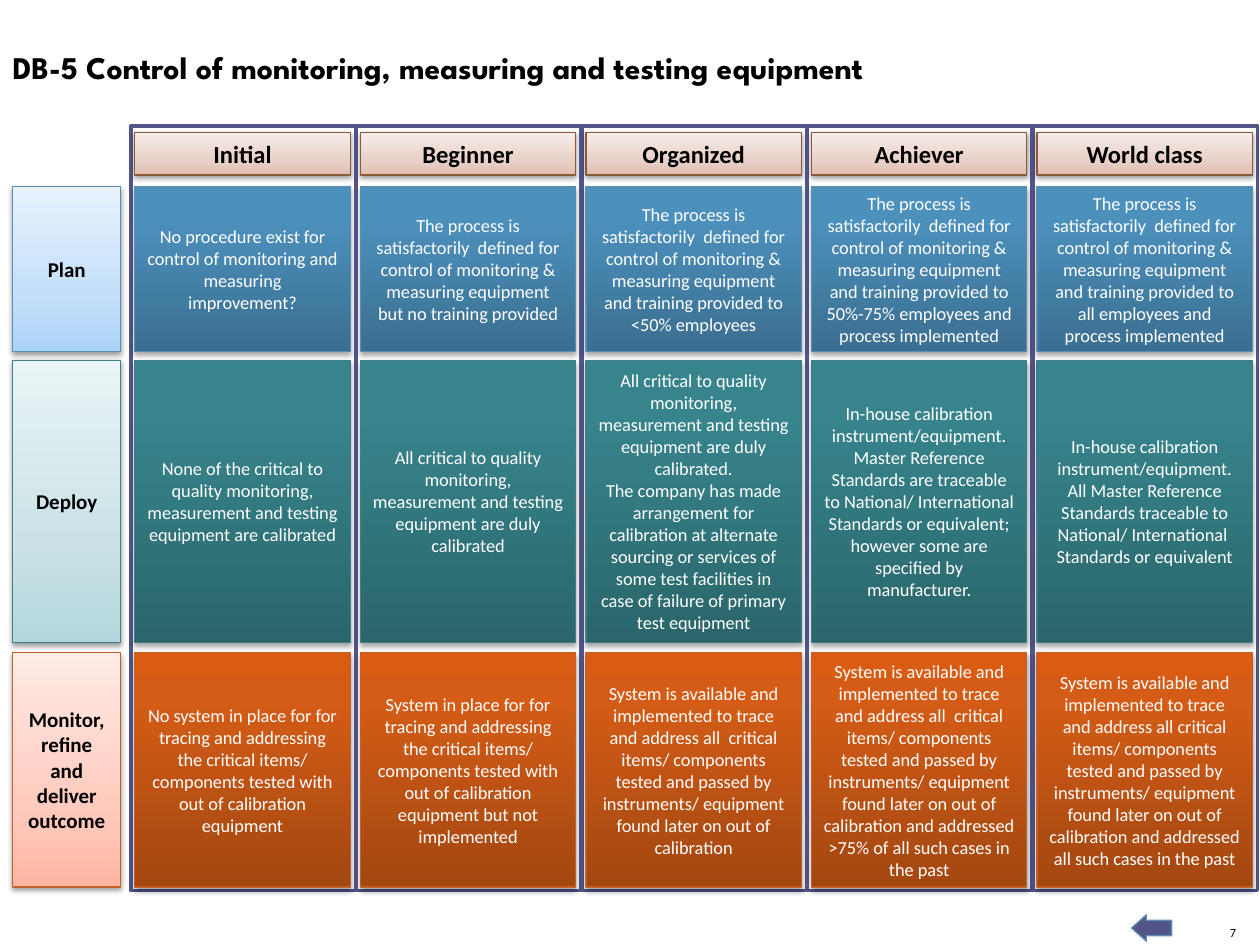
from lxml.etree import SubElement
from pptx import Presentation
from pptx.dml.color import RGBColor
from pptx.enum.shapes import MSO_SHAPE
from pptx.enum.text import MSO_ANCHOR, MSO_AUTO_SIZE, PP_ALIGN
from pptx.oxml.ns import qn
from pptx.util import Inches, Pt

COLORS = {
    "black": "000000", "white": "FFFFFF", "frame": "53548A", "arrow": "5C92B5",
    "head": "8A5B3A", "plan": "588FB3", "deploy": "407F85", "monitor": "C36228",
}
# Gradient colours from bottom to top
PALE = {
    "head": ("E0BEB0", "E8D1C8", "F7EDEA"),
    "plan": ("ABD3F8", "C4DFF9", "E7F3FE"),
    "deploy": ("B3D7DC", "CAE2E6", "EAF4F6"),
    "monitor": ("FFB6A3", "FFCBBE", "FFEBE6"),
}
DEEP = {
    "plan": ("3B6F91", "4C90BC", "4A91BF"),
    "deploy": ("2A666B", "37848C", "36868E"),
    "monitor": ("A34711", "D45C16", "D95C12"),
}
HEADS = ["Initial", "Beginner", "Organized", "Achiever", "World class"]
DEFINED = ("The process is satisfactorily  defined for control of monitoring & "
           "measuring equipment ")
QUALITY = ("All critical to quality monitoring, measurement and testing equipment "
           "are duly calibrated")
HOUSE = "In-house calibration instrument/equipment.\n"
TRACE = "System is available and implemented to trace and address all "
PASSED = ("critical items/ components tested and passed by instruments/ equipment "
          "found later on out of calibration")
FAULT = ("ystem in place for for tracing and addressing the critical items/ "
         "components tested with out of calibration equipment")
ROWS = [
    ("plan", "Plan", 1.48, 1.31, [
        "No procedure exist for control of monitoring and measuring improvement?",
        DEFINED + "but no training provided",
        DEFINED + "and training provided to <50% employees",
        DEFINED + "and training provided to 50%-75% employees and process implemented",
        DEFINED + "and training provided to all employees and process implemented",
    ]),
    ("deploy", "Deploy", 2.86, 2.24, [
        "None of the critical to quality monitoring, measurement and testing "
        "equipment are calibrated",
        QUALITY,
        QUALITY + ".\nThe company has made arrangement for calibration at alternate "
        "sourcing or services of some test facilities in case of failure of primary "
        "test equipment",
        HOUSE + "Master Reference Standards are traceable to National/ International "
        "Standards or equivalent; however some are specified by manufacturer.",
        HOUSE + "All Master Reference Standards traceable to National/ International  "
        "Standards or equivalent",
    ]),
    ("monitor", "Monitor, refine and deliver outcome", 5.18, 1.86, [
        "No s" + FAULT,
        "S" + FAULT + " but not implemented",
        TRACE + " " + PASSED,
        TRACE + " " + PASSED + " and addressed >75% of all such cases in the past",
        TRACE + PASSED + " and addressed all such cases in the past",
    ]),
]
LEFT, STEP, WIDE = 1.07, 1.79, 1.71


def add_plain(kind, left, top, width, height, fill, line, weight):
    shape = slide.shapes.add_shape(
        kind, Inches(left), Inches(top), Inches(width), Inches(height))
    shape.shadow.inherit = False
    shape.fill.solid()
    shape.fill.fore_color.rgb = RGBColor.from_string(COLORS[fill])
    shape.line.color.rgb = RGBColor.from_string(COLORS[line])
    shape.line.width = Pt(weight)
    return shape


def add_cell(text, theme, left, top, width, height, size, deep=False):
    """Add a box with a gradient, a soft shadow and centred text."""
    shape = add_plain(MSO_SHAPE.RECTANGLE, left, top, width, height,
                      "white", theme, 0.75)
    shape.fill.gradient()
    shape.fill.gradient_angle = 90
    props = shape.element.spPr
    stops = props.find(qn("a:gradFill")).find(qn("a:gsLst"))
    for stop in list(stops):
        stops.remove(stop)
    tones = DEEP[theme] if deep else PALE[theme]
    for pos, tone in zip((0, 80 if deep else 35, 100), tones):
        stop = SubElement(stops, qn("a:gs"), pos=str(pos * 1000))
        SubElement(stop, qn("a:srgbClr"), val=tone)
    shade = SubElement(props.find(qn("a:effectLst")), qn("a:outerShdw"),
                       blurRad="40000", dist="23000" if deep else "20000",
                       dir="5400000", rotWithShape="0")
    tint = SubElement(shade, qn("a:srgbClr"), val=COLORS["black"])
    SubElement(tint, qn("a:alpha"), val="35000" if deep else "38000")
    frame = shape.text_frame
    frame.text = text
    frame.word_wrap = True
    frame.vertical_anchor = MSO_ANCHOR.MIDDLE
    for para in frame.paragraphs:
        para.alignment = PP_ALIGN.CENTER
        para.font.name = "Calibri"
        para.font.size = Pt(size)
        para.font.bold = not deep
        para.font.color.rgb = RGBColor.from_string(COLORS["white" if deep else "black"])


deck = Presentation()
deck.slide_width, deck.slide_height = Inches(10), Inches(7.5)
slide = deck.slides.add_slide(deck.slide_layouts[5])

# Title
title = slide.shapes.title
title.left, title.top = Inches(0), Inches(0.33)
title.width, title.height = Inches(8.6), Inches(0.4)
frame = title.text_frame
frame.text = "DB-5 Control of monitoring, measuring and testing equipment"
frame.word_wrap = True
frame.auto_size = MSO_AUTO_SIZE.NONE
frame.vertical_anchor = MSO_ANCHOR.TOP
para = frame.paragraphs[0]
para.alignment = PP_ALIGN.LEFT
para.font.name = "League Spartan"
para.font.size = Pt(18)
para.font.bold = True
para.font.color.rgb = RGBColor.from_string(COLORS["black"])

# Page number and back arrow
page = slide.shapes.add_textbox(Inches(9.69), Inches(7.34), Inches(0.12), Inches(0.12))
frame = page.text_frame
frame.margin_left = frame.margin_right = frame.margin_top = frame.margin_bottom = 0
frame.vertical_anchor = MSO_ANCHOR.BOTTOM
frame.word_wrap = False
frame.text = "7"
para = frame.paragraphs[0]
para.alignment = PP_ALIGN.RIGHT
para.font.name = "Calibri"
para.font.size = Pt(7.1)
para.font.color.rgb = RGBColor.from_string(COLORS["black"])

arrow = add_plain(MSO_SHAPE.RIGHT_ARROW, 8.98, 7.26, 0.32, 0.21, "frame", "arrow", 0.75)
arrow.rotation = 180
arrow.adjustments[0] = 0.59
arrow.adjustments[1] = 0.56

# Column frames and headings
for col, head in enumerate(HEADS):
    left = LEFT + col * STEP
    add_plain(MSO_SHAPE.RECTANGLE, left - 0.03, 1, 1.78, 6.07, "white", "frame", 2)
    add_cell(head, "head", left, 1.05, WIDE, 0.34, 14)

# Row labels and cells
for theme, label, top, height, texts in ROWS:
    add_cell(label, theme, 0.1, top, 0.86, height, 12)
    for col, text in enumerate(texts):
        add_cell(text, theme, LEFT + col * STEP, top, WIDE, height, 10.5, deep=True)

deck.save("out.pptx")
